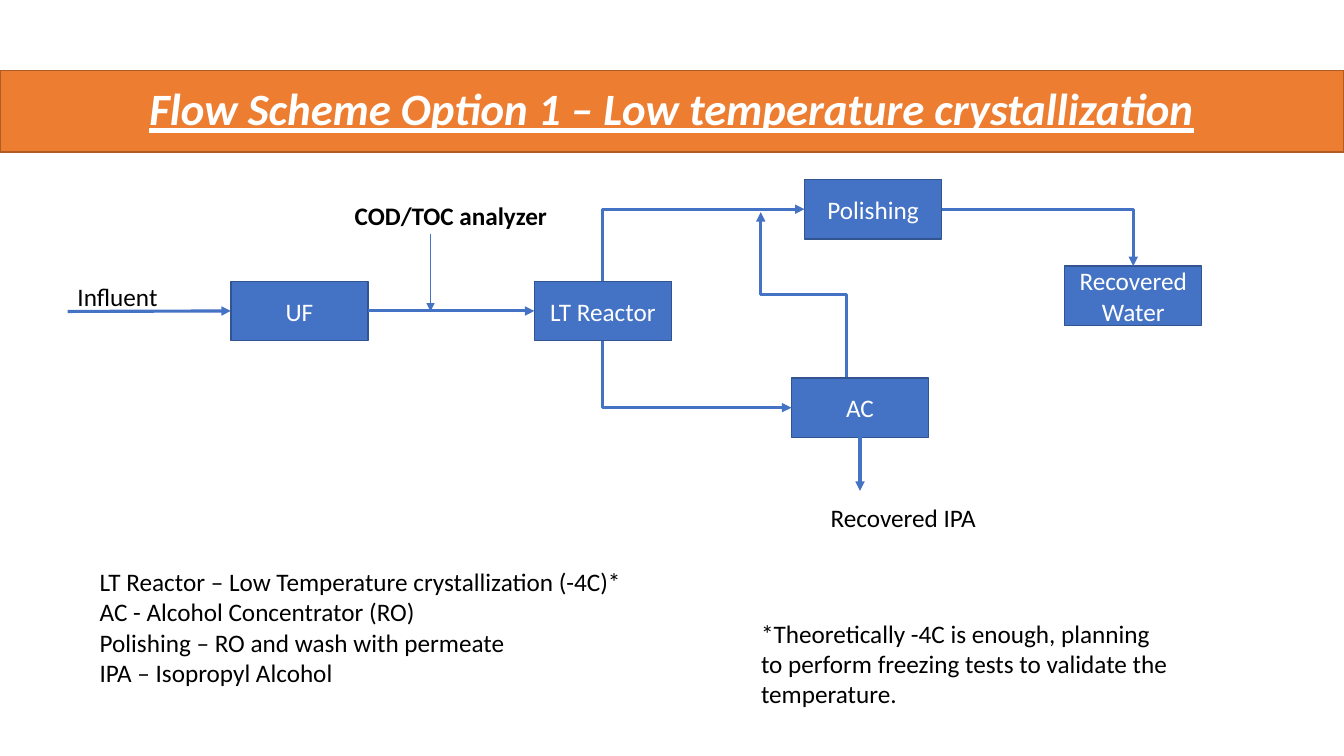
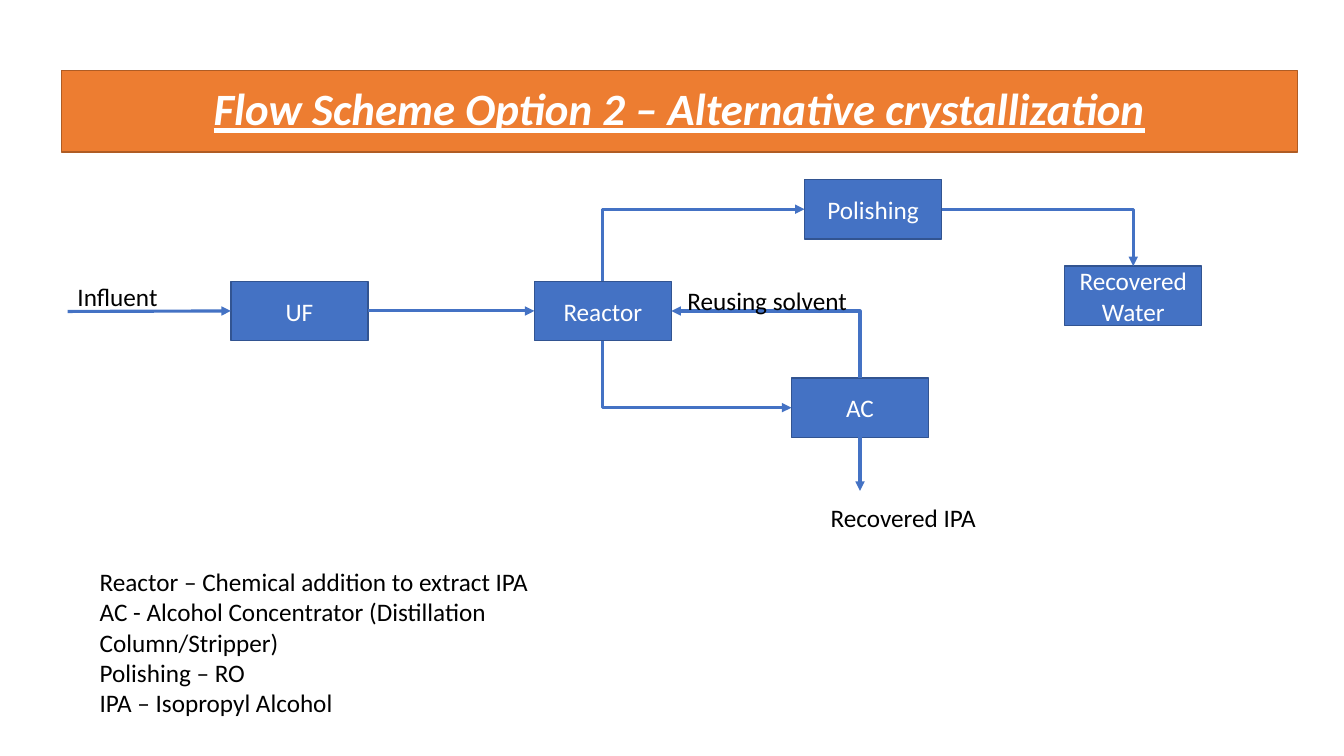
from lxml.etree import SubElement
from pptx import Presentation
from pptx.dml.color import RGBColor
from pptx.enum.shapes import MSO_CONNECTOR, MSO_SHAPE
from pptx.enum.text import MSO_ANCHOR, MSO_AUTO_SIZE, PP_ALIGN
from pptx.oxml.ns import qn
from pptx.util import Inches, Pt

WHITE = RGBColor(0xFF, 0xFF, 0xFF)
BLACK = RGBColor(0x00, 0x00, 0x00)
ORANGE = RGBColor(0xED, 0x7D, 0x31)
ORANGE_EDGE = RGBColor(0xAF, 0x5C, 0x24)
BLUE = RGBColor(0x44, 0x72, 0xC4)
BLUE_EDGE = RGBColor(0x32, 0x54, 0x91)
FONT = "Calibri"
TOP, LEFT, BOTTOM, RIGHT = range(4)
BOX_WIDTH, BOX_HEIGHT = 1.36, 0.59

SCHEMES = [
    {
        "title": "Flow Scheme Option 1 – Low temperature crystallization",
        "band": (0, 13.33),
        "reactor": "LT Reactor",
        "labels": [
            (0.89, 5.57, 5.42, 1.31, False, [
                "LT Reactor – Low Temperature crystallization (-4C)*",
                "AC - Alcohol Concentrator (RO)",
                "Polishing – RO and wash with permeate",
                "IPA – Isopropyl Alcohol",
            ]),
            (7.45, 6.08, 4.28, 1.01, False, [
                "*Theoretically -4C is enough, planning to perform "
                "freezing tests to validate the temperature.",
            ]),
            (3.42, 1.94, 2.23, 0.4, True, ["COD/TOC analyzer"]),
        ],
        "reuse": False,
    },
    {
        "title": "Flow Scheme Option 2 – Alternative crystallization",
        "band": (0.61, 12.26),
        "reactor": "Reactor",
        "labels": [
            (0.89, 5.57, 5.78, 1.62, False, [
                "Reactor – Chemical addition to extract IPA",
                "AC - Alcohol Concentrator (Distillation Column/Stripper)",
                "Polishing – RO",
                "IPA – Isopropyl Alcohol",
            ]),
            (6.72, 2.78, 2.97, 0.4, False, ["Reusing solvent"]),
        ],
        "reuse": True,
    },
]
SHARED_LABELS = [
    (0.67, 2.74, 1.65, 0.4, False, ["Influent"]),
    (8.14, 4.93, 1.65, 0.4, False, ["Recovered IPA"]),
]


def add_block(slide, frame, text, fill, edge, size):
    """Add a filled rectangle with centred white text."""
    block = slide.shapes.add_shape(MSO_SHAPE.RECTANGLE, *map(Inches, frame))
    block.shadow.inherit = False
    block.fill.solid()
    block.fill.fore_color.rgb = fill
    block.line.color.rgb = edge
    block.line.width = Pt(1)
    block.text_frame.word_wrap = True
    block.text_frame.vertical_anchor = MSO_ANCHOR.MIDDLE
    paragraph = block.text_frame.paragraphs[0]
    paragraph.text = text
    paragraph.alignment = PP_ALIGN.CENTER
    paragraph.font.name = FONT
    paragraph.font.size = Pt(size)
    paragraph.font.color.rgb = WHITE
    return block


def add_arrow(slide, kind, points, width=2.25, arrow_end="a:tailEnd"):
    arrow = slide.shapes.add_connector(kind, *map(Inches, points))
    arrow.line.color.rgb = BLUE
    arrow.line.width = Pt(width)
    properties = arrow._element.spPr
    SubElement(properties.find(qn("a:ln")), qn(arrow_end), type="triangle")
    SubElement(properties, qn("a:effectLst"))
    return arrow


prs = Presentation()
prs.slide_width, prs.slide_height = Inches(13.33), Inches(7.5)

for scheme in SCHEMES:
    slide = prs.slides.add_slide(prs.slide_layouts[6])

    band_left, band_width = scheme["band"]
    band = add_block(slide, (band_left, 0.7, band_width, 0.81),
                     scheme["title"], ORANGE, ORANGE_EDGE, 32)
    title = band.text_frame.paragraphs[0]
    title.line_spacing = 0.9
    title.space_after = Pt(6)
    title.font.bold = title.font.italic = title.font.underline = True

    uf, polishing, concentrator, reactor, water = [
        add_block(slide, (left, top, BOX_WIDTH, BOX_HEIGHT), text, BLUE, BLUE_EDGE, 18)
        for text, left, top in [
            ("UF", 2.29, 2.79),
            ("Polishing", 7.98, 1.78),
            ("AC", 7.85, 3.75),
            (scheme["reactor"], 5.3, 2.79),
            ("Recovered Water", 10.56, 2.64),
        ]
    ]

    influent = add_arrow(slide, MSO_CONNECTOR.STRAIGHT, (0.67, 3.09, 2.29, 3.09))
    influent.end_connect(uf, LEFT)
    feed = add_arrow(slide, MSO_CONNECTOR.STRAIGHT, (3.65, 3.09, 5.3, 3.09))
    feed.begin_connect(uf, RIGHT)
    feed.end_connect(reactor, LEFT)
    ipa = add_arrow(slide, MSO_CONNECTOR.STRAIGHT, (8.53, 4.34, 8.53, 4.87))
    ipa.begin_connect(concentrator, BOTTOM)

    # Single bends leave the first box sideways and meet the second vertically.
    bends = [
        (polishing, LEFT, reactor, TOP, "a:headEnd"),
        (concentrator, LEFT, reactor, BOTTOM, "a:headEnd"),
        (polishing, RIGHT, water, TOP, "a:tailEnd"),
    ]
    if scheme["reuse"]:
        bends.append((reactor, RIGHT, concentrator, TOP, "a:headEnd"))
    for side_box, side, upright_box, edge, arrow_end in bends:
        bend = add_arrow(slide, MSO_CONNECTOR.ELBOW, (0, 0, 1, 1), arrow_end=arrow_end)
        bend.begin_connect(side_box, side)
        bend.end_connect(upright_box, edge)
        bend._element.spPr.find(qn("a:prstGeom")).set("prst", "bentConnector2")

    if not scheme["reuse"]:
        # A quarter turn makes the outer legs of this elbow vertical.
        permeate = add_arrow(slide, MSO_CONNECTOR.ELBOW, (7.15, 3.35, 8.79, 2.5))
        permeate._element.spPr.find(qn("a:xfrm")).set("rot", str(270 * 60000))
        add_arrow(slide, MSO_CONNECTOR.STRAIGHT, (4.27, 2.32, 4.27, 3.09), width=0.5)

    for left, top, width, height, bold, lines in SHARED_LABELS + scheme["labels"]:
        label = slide.shapes.add_textbox(*map(Inches, (left, top, width, height)))
        frame = label.text_frame
        frame.word_wrap = True
        frame.auto_size = MSO_AUTO_SIZE.SHAPE_TO_FIT_TEXT
        frame.text = "\n".join(lines)
        for paragraph in frame.paragraphs:
            paragraph.font.name = FONT
            paragraph.font.size = Pt(18)
            paragraph.font.bold = bold
            paragraph.font.color.rgb = BLACK

prs.save("out.pptx")
